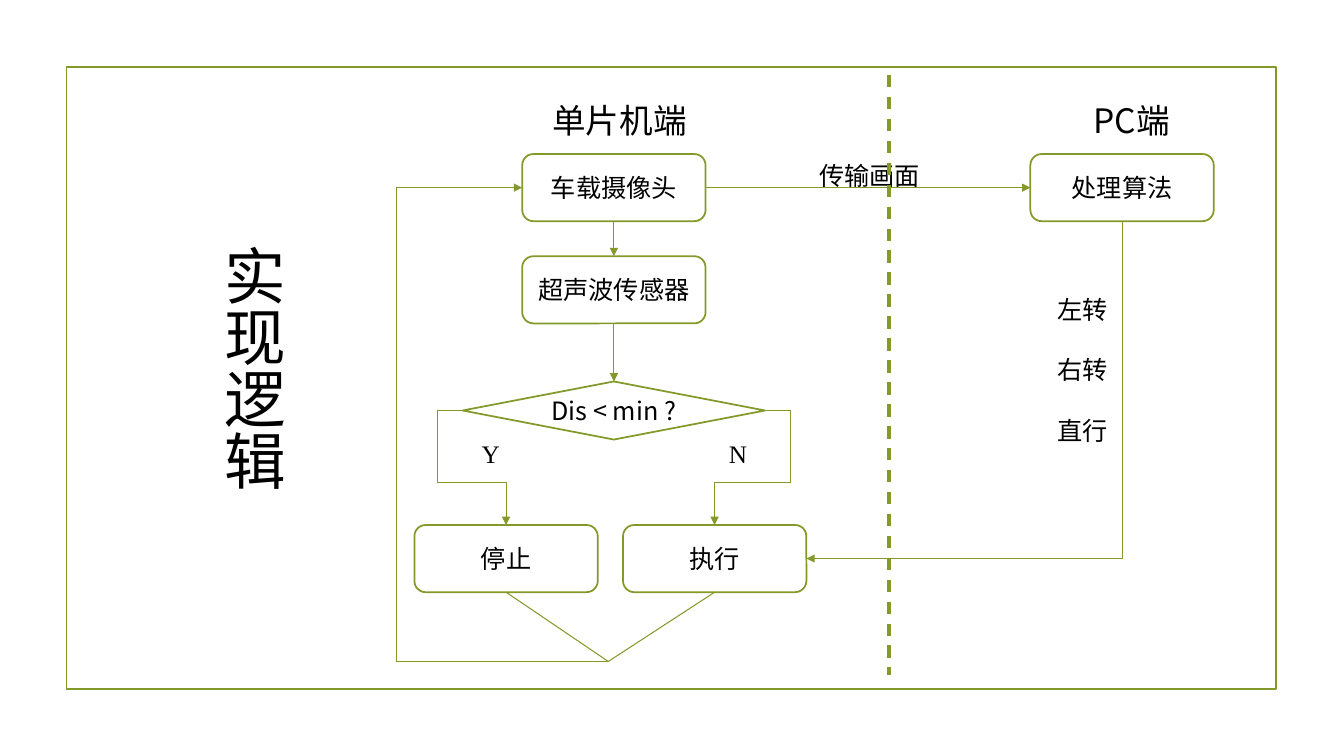
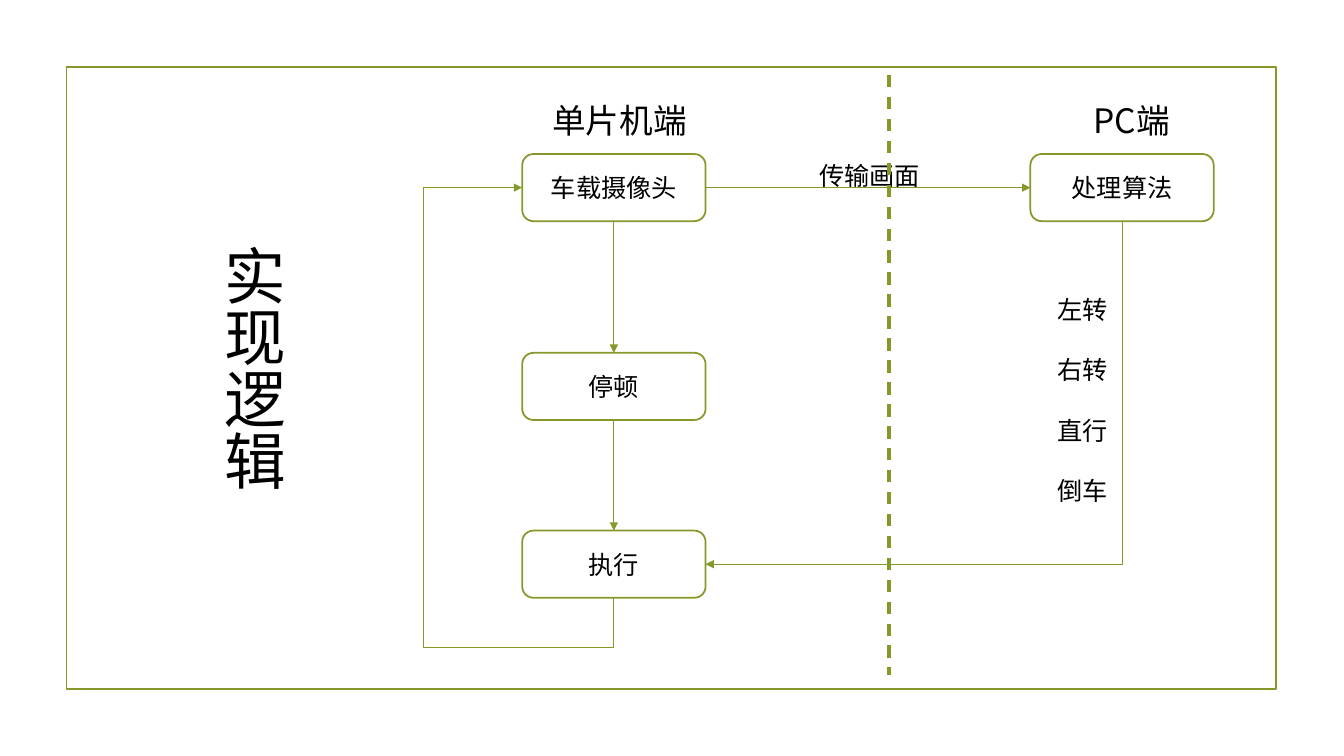
from pptx import Presentation
from pptx.dml.color import RGBColor
from pptx.enum import dml, shapes, text
from pptx.oxml.ns import qn
from pptx.oxml.xmlchemy import OxmlElement
from pptx.util import Pt

GREEN, WHITE, BLACK = "83992A", "FFFFFF", "000000"
CJK_FONT, LETTER_FONT = "Noto Sans CJK SC", "Times New Roman"
TOP, LEFT, BOTTOM, RIGHT = range(4)

NODE_WIDTH, NODE_HEIGHT = 131, 48
MCU_X, PC_X = 438.5, 801.5
FIRST_ROW = 110
LINE_FACTOR = 1.2


def rgb(code):
    return RGBColor.from_string(code)


def style_paragraph(paragraph, size, font_name=CJK_FONT):
    font = paragraph.font
    font.size = Pt(size)
    font.color.rgb = rgb(BLACK)
    font.name = font_name
    east_asian = OxmlElement("a:ea")
    east_asian.set("typeface", font_name)
    font._element.find(qn("a:latin")).addnext(east_asian)


def add_outlined(slide, preset, left, top, width, height):
    outlined = slide.shapes.add_shape(preset, Pt(left), Pt(top), Pt(width), Pt(height))
    outlined.shadow.inherit = False
    outlined.line.color.rgb = rgb(GREEN)
    outlined.line.width = Pt(1.25)
    return outlined


def add_node(slide, words, center_x, top, width=NODE_WIDTH, height=NODE_HEIGHT,
             preset=shapes.MSO_SHAPE.ROUNDED_RECTANGLE):
    node = add_outlined(slide, preset, center_x - width / 2, top, width, height)
    node.fill.solid()
    node.fill.fore_color.rgb = rgb(WHITE)
    frame = node.text_frame
    frame.text = words
    frame.vertical_anchor = text.MSO_ANCHOR.MIDDLE
    paragraph = frame.paragraphs[0]
    paragraph.alignment = text.PP_ALIGN.CENTER
    style_paragraph(paragraph, 18)
    return node


def add_label(slide, lines, left, top, width, size=18, font_name=CJK_FONT):
    """Add a text box; several lines are set one line height apart."""
    line_height = size * LINE_FACTOR
    height = line_height * (2 * len(lines) - 1) + 7.2
    label = slide.shapes.add_textbox(Pt(left), Pt(top), Pt(width), Pt(height))
    frame = label.text_frame
    frame.word_wrap = True
    frame.text = "\n".join(lines)
    for index, paragraph in enumerate(frame.paragraphs):
        paragraph.line_spacing = Pt(line_height)
        if index:
            paragraph.space_before = Pt(line_height)
        style_paragraph(paragraph, size, font_name)


def add_link(slide, start, end, arrow=True, width=0.75, dash=None,
             kind=shapes.MSO_CONNECTOR.STRAIGHT):
    """Join two ends, each an (x, y) point or a (node, side) pair."""
    link = slide.shapes.add_connector(kind, 0, 0, 0, 0)
    if isinstance(start[0], (int, float)):
        link.begin_x, link.begin_y = map(Pt, start)
    else:
        link.begin_connect(*start)
    if isinstance(end[0], (int, float)):
        link.end_x, link.end_y = map(Pt, end)
    else:
        link.end_connect(*end)
    link.line.color.rgb = rgb(GREEN)
    link.line.width = Pt(width)
    if dash:
        link.line.dash_style = dash
    if arrow:
        head = OxmlElement("a:tailEnd")
        head.set("type", "triangle")
        link.line._get_or_add_ln().append(head)
    link._element.spPr.append(OxmlElement("a:effectLst"))
    return link


def add_elbow(slide, start, end, preset, bends=(), turned=False, flipped=False):
    """Add a bent arrow; turned ones leave their start vertically."""
    elbow = add_link(slide, start, end, kind=shapes.MSO_CONNECTOR.ELBOW)
    properties = elbow._element.spPr
    if turned:
        width, height = elbow.width, elbow.height
        elbow.left += (width - height) // 2
        elbow.top += (height - width) // 2
        elbow.width, elbow.height = height, width
        xfrm = properties.find(qn("a:xfrm"))
        xfrm.set("rot", str(90 * 60000))
        xfrm.set("flipH", str(int(flipped)))
        xfrm.set("flipV", "0")
    geometry = properties.find(qn("a:prstGeom"))
    geometry.set("prst", preset)
    for old_values in geometry.findall(qn("a:avLst")):
        geometry.remove(old_values)
    values = OxmlElement("a:avLst")
    geometry.append(values)
    for number, bend in enumerate(bends, 1):
        guide = OxmlElement("a:gd")
        guide.set("name", f"adj{number}")
        guide.set("fmla", f"val {round(bend * 100000)}")
        values.append(guide)


def add_layout_frame(slide):
    """Put the green border on the layout that the slides share."""
    border = add_outlined(slide, shapes.MSO_SHAPE.RECTANGLE, 47.5, 48, 864, 444)
    border.fill.background()
    slide.slide_layout.shapes._spTree.insert(2, border._element)


def set_title(slide, words):
    title = slide.shapes.title
    title.left, title.top, title.width, title.height = map(Pt, (147, 171.5, 67.5, 276.5))
    frame = title.text_frame
    frame.text = words
    frame.word_wrap = True
    frame.auto_size = text.MSO_AUTO_SIZE.NONE
    frame.vertical_anchor = text.MSO_ANCHOR.TOP
    frame._txBody.bodyPr.set("vert", "eaVert")
    paragraph = frame.paragraphs[0]
    paragraph.alignment = text.PP_ALIGN.LEFT
    paragraph.line_spacing = Pt(44 * LINE_FACTOR)
    style_paragraph(paragraph, 44)


def add_base(slide, directions):
    """Draw what both flows share; return the camera and algorithm nodes."""
    set_title(slide, "实现逻辑")
    camera = add_node(slide, "车载摄像头", MCU_X, FIRST_ROW)
    algorithm = add_node(slide, "处理算法", PC_X, FIRST_ROW)
    add_link(slide, (camera, RIGHT), (algorithm, LEFT))
    add_label(slide, ["传输画面"], 578, 111, 114)
    add_label(slide, ["单片机端"], 387.5, 68, 146, 24)
    add_label(slide, ["PC端"], 774, 68, 146, 24)
    add_link(slide, (635, 53.5), (635, 482), arrow=False, width=2.25,
             dash=dml.MSO_LINE.DASH)
    add_label(slide, directions, 748, 206.5, 52)
    return camera, algorithm


def add_sensor_flow(slide):
    camera, algorithm = add_base(slide, ["左转", "右转", "直行"])
    sensor = add_node(slide, "超声波传感器", MCU_X, 183)
    check = add_node(slide, "Dis < min ?", MCU_X, 272.5, 216, 41.5,
                     shapes.MSO_SHAPE.DIAMOND)
    stop = add_node(slide, "停止", 361.5, 375)
    execute = add_node(slide, "执行", 510.5, 375)

    add_link(slide, (camera, BOTTOM), (sensor, TOP))
    add_link(slide, (sensor, BOTTOM), (check, TOP))
    add_elbow(slide, (check, LEFT), (stop, TOP), "bentConnector4", (-0.57, 0.63))
    add_elbow(slide, (check, RIGHT), (execute, TOP), "bentConnector4", (-0.5, 0.63))
    for answer, left in (("Y", 337), ("N", 513.5)):
        add_label(slide, [answer], left, 309.5, 37.5, font_name=LETTER_FONT)
    add_elbow(slide, (algorithm, BOTTOM), (execute, RIGHT), "bentConnector2", turned=True)

    junction = (434.5, 472.5)
    low_corner = (283, 472.5)
    high_corner = (283, FIRST_ROW + NODE_HEIGHT / 2)
    for action in (stop, execute):
        add_link(slide, (action, BOTTOM), junction, arrow=False)
    add_link(slide, junction, low_corner, arrow=False)
    add_link(slide, low_corner, high_corner, arrow=False)
    add_link(slide, high_corner, (camera, LEFT))


def add_pause_flow(slide):
    camera, algorithm = add_base(slide, ["左转", "右转", "直行", "倒车"])
    pause = add_node(slide, "停顿", MCU_X, 252)
    execute = add_node(slide, "执行", MCU_X, 379)
    add_link(slide, (camera, BOTTOM), (pause, TOP))
    add_link(slide, (pause, BOTTOM), (execute, TOP))
    add_elbow(slide, (algorithm, BOTTOM), (execute, RIGHT), "bentConnector2", turned=True)
    add_elbow(slide, (execute, BOTTOM), (camera, LEFT), "bentConnector4",
              (-0.12, 2.08), turned=True, flipped=True)


def main():
    deck = Presentation()
    deck.slide_width, deck.slide_height = Pt(960), Pt(540)
    title_only = deck.slide_layouts[5]
    sensor_slide, pause_slide = (deck.slides.add_slide(title_only) for _ in range(2))
    add_layout_frame(sensor_slide)
    add_sensor_flow(sensor_slide)
    add_pause_flow(pause_slide)
    deck.save("out.pptx")


if __name__ == "__main__":
    main()
